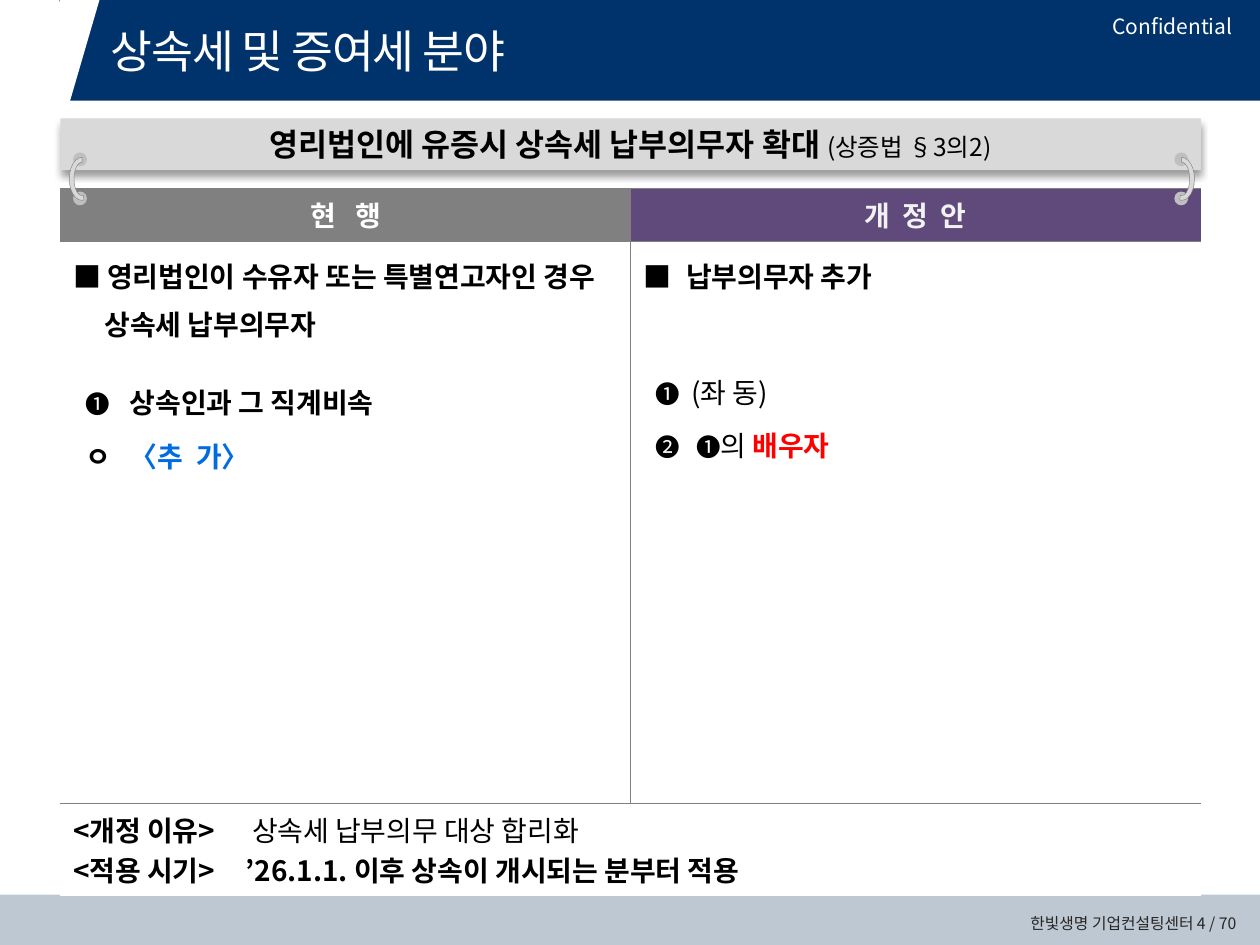
"""Builds the slide on the inheritance tax payer amendment."""
import pptx
import pptx.dml.color
import pptx.enum.shapes
import pptx.enum.text
import pptx.oxml
import pptx.oxml.ns
import pptx.util

Inches, Pt = pptx.util.Inches, pptx.util.Pt
SHAPE = pptx.enum.shapes.MSO_SHAPE
ALIGN = pptx.enum.text.PP_ALIGN
MIDDLE = pptx.enum.text.MSO_ANCHOR.MIDDLE
NS = pptx.oxml.ns.nsdecls("a")

THEME = {
    "font": "Noto Sans CJK KR",
    "navy": "00326B", "white": "FFFFFF", "footer": "BEC8D2", "banner": "D9D9D9",
    "rule": "808080", "current": "808080", "revised": "604A7B",
    "ring": "D9D9D9", "ring_end": "BFBFBF",
    "text": {
        "title": {"size": 26, "color": "FFFFFF", "spacing": -0.7},
        "mark": {"size": 12, "color": "FFFFFF"},
        "footer": {"size": 9, "color": "262626"},
        "headline": {"size": 18, "color": "000000", "bold": True},
        "law": {"size": 14, "color": "000000"},
        "current_head": {"size": 16, "color": "FFFFFF", "bold": True, "spacing": 3.7},
        "revised_head": {"size": 16, "color": "F2F2F2", "bold": True, "spacing": 1.8},
        "strong": {"size": 16, "color": "000000", "bold": True},
        "plain": {"size": 16, "color": "000000"},
        "number": {"size": 14, "color": "000000"},
        "added": {"size": 16, "color": "006CE2", "bold": True},
        "added_wide": {"size": 16, "color": "006CE2", "bold": True, "spacing": 1.8},
        "alert": {"size": 16, "color": "FF0000", "bold": True},
    },
}

TITLE = [{"runs": [("상속세 및 증여세 분야", "title")]}]
MARK = [{"runs": [("Confidential", "mark")], "align": ALIGN.CENTER}]
FOOTER = [{"runs": [("한빛생명 기업컨설팅센터 4 / 70", "footer")], "align": ALIGN.RIGHT}]
HEADLINE = [{"runs": [("영리법인에 유증시 상속세 납부의무자 확대 ", "headline"),
                      ("(상증법 §3의2)", "law")], "align": ALIGN.CENTER}]
CURRENT_HEAD = [{"runs": [("현 행", "current_head")], "align": ALIGN.CENTER, "after": 6}]
REVISED_HEAD = [{"runs": [("개 정 안", "revised_head")], "align": ALIGN.CENTER, "after": 6}]
CURRENT = [
    {"runs": [("■ 영리법인이 수유자 또는 특별연고자인 경우", "strong"), ("\v", "strong"),
              ("상속세 납부의무자", "strong")], "indent": (0, 0.25), "line": 1.2},
    {"runs": [("➊", "number"), ("\t", "plain"), ("상속인과 그 직계비속", "strong")],
     "indent": (0.1, 0.45), "line": 1.2, "before": 17},
    {"runs": [("ㅇ\t", "strong"), ("〈", "added"), ("추 ", "added_wide"), ("가〉", "added")],
     "indent": (0.1, 0.45), "line": 1.2, "before": 3},
]
REVISED = [
    {"runs": [("■\t납부의무자 추가", "strong")], "indent": (0, 0.34), "line": 1.2},
    {"runs": [("➊", "number"), ("\t(좌 동)", "plain")],
     "indent": (0.1, 0.38), "line": 1.2, "before": 38.6},
    {"runs": [("➋", "number"), ("\t", "plain"), ("➊", "number"), ("의 ", "plain"),
              ("배우자", "alert")], "indent": (0.1, 0.42), "line": 1.2, "before": 3},
]
NOTES = [
    {"runs": [("<개정 이유>\t", "strong"), ("상속세 납부의무 대상 합리화", "plain")],
     "indent": (0, 1.42)},
    {"runs": [("<적용 시기>\t’26.1.1. 이후 상속이 개시되는 분부터 적용", "strong")],
     "indent": (0, 1.37)},
]
CELLS = [
    (0, 0, CURRENT_HEAD, "current", "TRB"), (0, 1, REVISED_HEAD, "revised", "LTB"),
    (1, 0, CURRENT, "white", "TRB"), (1, 1, REVISED, "white", "LTB"),
    (2, 0, NOTES, "white", "T"), (2, 1, [], "white", "T"),
]
ROW_HEIGHTS = (0.42, 4.46, 0.73)
RINGS = [{"ends": 0.58, "arc": 0.48, "turn": 270, "flip": True},
         {"ends": 9.32, "arc": 9.21, "turn": 90, "flip": False}]


def rgb(name):
    return pptx.dml.color.RGBColor.from_string(THEME.get(name, name))


def style_run(run, style):
    run.font.size = Pt(style["size"])
    run.font.bold = style.get("bold", False)
    run.font.color.rgb = rgb(style["color"])
    run.font.name = THEME["font"]
    properties = run.font._element
    properties.find(pptx.oxml.ns.qn("a:latin")).addnext(
        pptx.oxml.parse_xml(f'<a:ea {NS} typeface="{THEME["font"]}"/>'))
    if "spacing" in style:
        properties.set("spc", str(round(style["spacing"] * 100)))


def write(frame, paragraphs):
    for index, content in enumerate(paragraphs):
        paragraph = frame.add_paragraph() if index else frame.paragraphs[0]
        paragraph.alignment = content.get("align", ALIGN.LEFT)
        paragraph.line_spacing = content.get("line", 1.0)
        paragraph.space_before = Pt(content.get("before", 0))
        paragraph.space_after = Pt(content.get("after", 0))
        first, rest = content.get("indent", (0, 0))
        properties = paragraph._p.get_or_add_pPr()
        properties.set("marL", str(Inches(rest)))
        properties.set("indent", str(Inches(first - rest)))
        for text, style in content["runs"]:
            if text == "\v":
                paragraph.add_line_break()
                continue
            run = paragraph.add_run()
            run.text = text
            style_run(run, THEME["text"][style])


def add_shape(shapes, kind, box, fill, line=None):
    shape = shapes.add_shape(kind, *map(Inches, box))
    shape.shadow.inherit = False
    shape.fill.solid()
    shape.fill.fore_color.rgb = rgb(fill)
    if line:
        shape.line.color.rgb = rgb(line)
        shape.line.width = Pt(0.25)
    else:
        shape.line.fill.background()
    return shape


def add_text(slide, box, paragraphs):
    frame = slide.shapes.add_textbox(*map(Inches, box)).text_frame
    frame.word_wrap = True
    frame.vertical_anchor = MIDDLE
    write(frame, paragraphs)


def add_frame(slide):
    add_shape(slide.shapes, SHAPE.RECTANGLE, (0, 7.1, 10, 0.4), "footer")
    add_text(slide, (6.66, 7.18, 3.25, 0.3), FOOTER)
    add_shape(slide.shapes, SHAPE.RECTANGLE, (0, 0, 10, 0.8), "navy")
    slant = add_shape(slide.shapes, SHAPE.PARALLELOGRAM, (0.16, 0, 0.63, 1.08), "white")
    slant.adjustments[0] = 0.5
    add_shape(slide.shapes, SHAPE.RECTANGLE, (0, 0, 0.47, 1.06), "white")
    add_text(slide, (8.69, 0.05, 1.23, 0.31), MARK)


def place_title(slide):
    title = slide.shapes.title
    slide.shapes.element.append(title._element)
    title.left, title.top, title.width, title.height = map(Inches, (0.78, 0, 9.22, 0.8))
    title.text_frame.vertical_anchor = MIDDLE
    write(title.text_frame, TITLE)


def add_banner(slide):
    banner = add_shape(slide.shapes, SHAPE.ROUNDED_RECTANGLE, (0.48, 0.94, 9.05, 0.41), "banner")
    banner.adjustments[0] = 0
    banner._element.spPr.find(pptx.oxml.ns.qn("a:effectLst")).append(pptx.oxml.parse_xml(
        f'<a:outerShdw {NS} blurRad="{Pt(4)}" dist="{Pt(3)}" dir="5400000" rotWithShape="0">'
        '<a:srgbClr val="000000"><a:alpha val="40000"/></a:srgbClr></a:outerShdw>'))
    banner.text_frame.vertical_anchor = MIDDLE
    write(banner.text_frame, HEADLINE)


def set_borders(cell, sides):
    for side in "LRTB":
        paint = (f'<a:solidFill><a:srgbClr val="{THEME["rule"]}"/></a:solidFill>'
                 if side in sides else "<a:noFill/>")
        cell._tc.get_or_add_tcPr().append(pptx.oxml.parse_xml(
            f'<a:ln{side} {NS} w="{Pt(0.25)}">{paint}</a:ln{side}>'))


def add_comparison(slide):
    table = slide.shapes.add_table(
        3, 2, *map(Inches, (0.48, 1.49, 9.05, sum(ROW_HEIGHTS)))).table
    table.first_row = table.horz_banding = False
    for row, height in zip(table.rows, ROW_HEIGHTS):
        row.height = Inches(height)
    table.cell(2, 0).merge(table.cell(2, 1))
    for row, column, paragraphs, fill, sides in CELLS:
        cell = table.cell(row, column)
        set_borders(cell, sides)
        cell.fill.solid()
        cell.fill.fore_color.rgb = rgb(fill)
        if row != 1:
            cell.vertical_anchor = MIDDLE
        write(cell.text_frame, paragraphs)


def add_ring(slide, ring):
    group = slide.shapes.add_group_shape()
    for top in (1.52, 1.21):
        add_shape(group.shapes, SHAPE.OVAL, (ring["ends"], top, 0.11, 0.11), "ring_end")
    arc = add_shape(group.shapes, SHAPE.BLOCK_ARC, (ring["arc"], 1.32, 0.34, 0.2), "ring", "rule")
    for index, value in enumerate((107.42, 3.4, 0.19)):
        arc.adjustments[index] = value
    arc.rotation = ring["turn"]
    if ring["flip"]:
        arc._element.spPr.xfrm.set("flipH", "1")


def main():
    deck = pptx.Presentation()
    deck.slide_width, deck.slide_height = Inches(10), Inches(7.5)
    slide = deck.slides.add_slide(deck.slide_layouts[5])
    add_frame(slide)
    place_title(slide)
    add_banner(slide)
    add_comparison(slide)
    for ring in RINGS:
        add_ring(slide, ring)
    deck.save("out.pptx")


if __name__ == "__main__":
    main()
